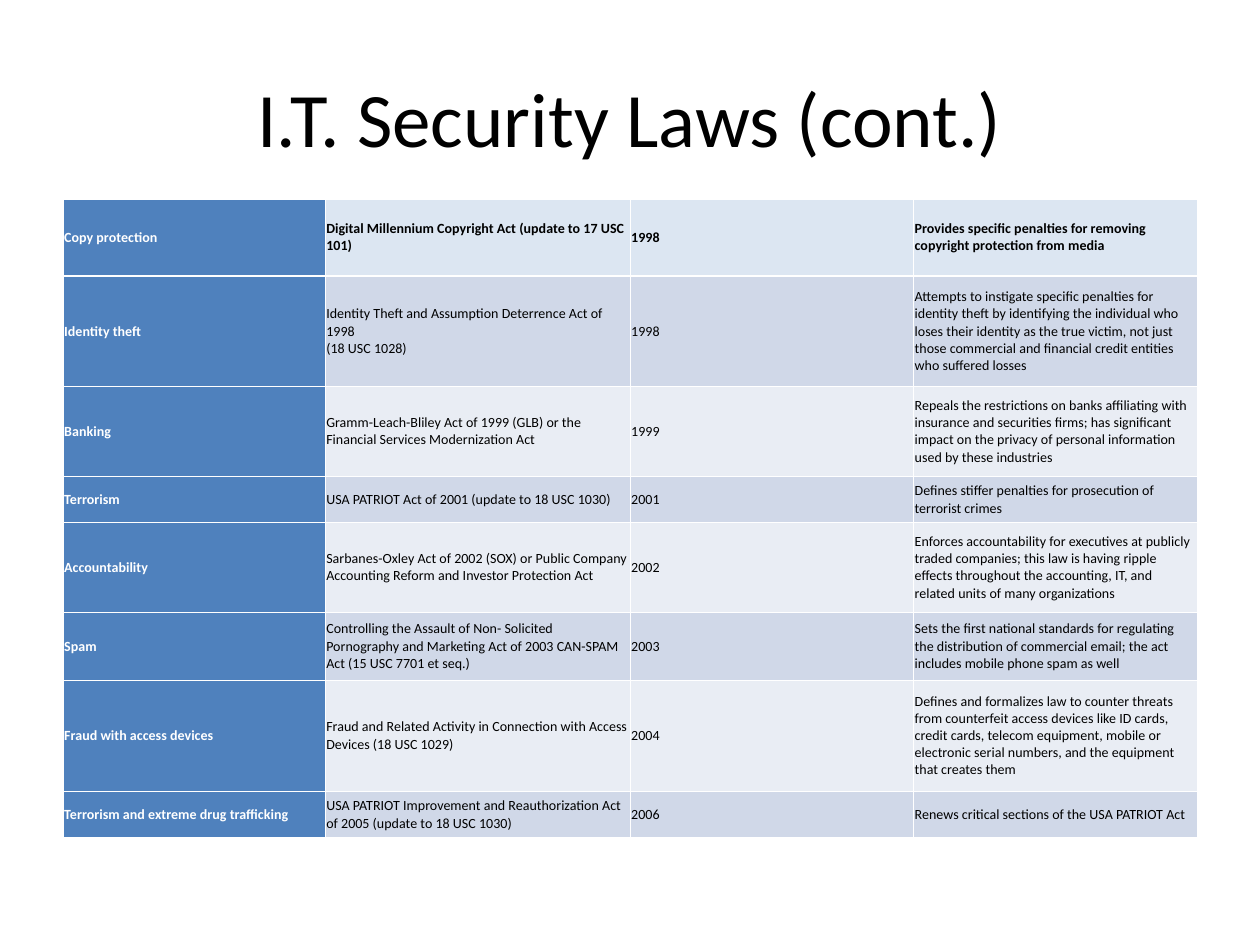
import pptx
import pptx.util
import pptx.dml.color
import pptx.enum.text
import pptx.oxml
import pptx.oxml.ns

Inches, Pt = pptx.util.Inches, pptx.util.Pt
MID = pptx.enum.text.MSO_ANCHOR.MIDDLE

# Content
TITLE = "I.T. Security Laws (cont.)"
LAWS = [
    ("Copy protection",
     "Digital Millennium Copyright Act (update to 17 USC 101)", "1998",
     "Provides specific penalties for removing copyright protection from media"),
    ("Identity theft",
     "Identity Theft and Assumption Deterrence Act of 1998\n(18 USC 1028)", "1998",
     "Attempts to instigate specific penalties for identity theft by identifying "
     "the individual who loses their identity as the true victim, not just those "
     "commercial and financial credit entities who suffered losses"),
    ("Banking",
     "Gramm-Leach-Bliley Act of 1999 (GLB) or the Financial Services "
     "Modernization Act", "1999",
     "Repeals the restrictions on banks affiliating with insurance and securities "
     "firms; has significant impact on the privacy of personal information used "
     "by these industries"),
    ("Terrorism",
     "USA PATRIOT Act of 2001 (update to 18 USC 1030)", "2001",
     "Defines stiffer penalties for prosecution of terrorist crimes"),
    ("Accountability",
     "Sarbanes-Oxley Act of 2002 (SOX) or Public Company Accounting Reform and "
     "Investor Protection Act", "2002",
     "Enforces accountability for executives at publicly traded companies; this "
     "law is having ripple effects throughout the accounting, IT, and related "
     "units of many organizations"),
    ("Spam",
     "Controlling the Assault of Non- Solicited Pornography and Marketing Act of "
     "2003 CAN-SPAM Act (15 USC 7701 et seq.)", "2003",
     "Sets the first national standards for regulating the distribution of "
     "commercial email; the act includes mobile phone spam as well"),
    ("Fraud with access devices",
     "Fraud and Related Activity in Connection with Access Devices (18 USC 1029)",
     "2004",
     "Defines and formalizes law to counter threats from counterfeit access "
     "devices like ID cards, credit cards, telecom equipment, mobile or electronic "
     "serial numbers, and the equipment that creates them"),
    ("Terrorism and extreme drug trafficking",
     "USA PATRIOT Improvement and Reauthorization Act of 2005 (update to 18 USC "
     "1030)", "2006",
     "Renews critical sections of the USA PATRIOT Act"),
]
WIDTHS = [2.08, 2.42, 2.25, 2.25]
HEIGHTS = [0.61, 0.88, 0.71, 0.37, 0.71, 0.54, 0.88, 0.37]
COLORS = {"text": "000000", "white": "FFFFFF", "side": "4F81BD",
          "top": "DCE6F2", "odd": "D0D8E8", "even": "E9EDF4"}
THIN, THICK = 0.45, 1.47


def rgb(name):
    return pptx.dml.color.RGBColor.from_string(COLORS[name])


def write(para, text, size, color, bold=False):
    for i, line in enumerate(text.split("\n")):
        if i:
            para.add_line_break()
        run = para.add_run()
        run.text = line
        run.font.name = "Calibri"
        run.font.size = Pt(size)
        run.font.bold = bold
        run.font.color.rgb = rgb(color)


def border(cell, side, width):
    cell._tc.get_or_add_tcPr().append(pptx.oxml.parse_xml(
        f'<a:ln{side} {pptx.oxml.ns.nsdecls("a")} w="{Pt(width)}"><a:solidFill>'
        f'<a:srgbClr val="{COLORS["white"]}"/></a:solidFill></a:ln{side}>'))


prs = pptx.Presentation()
prs.slide_width, prs.slide_height = Inches(10), Inches(7.5)
slide = prs.slides.add_slide(prs.slide_layouts[6])

# Title
box = slide.shapes.add_textbox(Inches(0.5), Inches(0.3), Inches(9), Inches(1.25))
frame = box.text_frame
frame.word_wrap = True
frame.vertical_anchor = MID
frame.paragraphs[0].alignment = pptx.enum.text.PP_ALIGN.CENTER
write(frame.paragraphs[0], TITLE, 44, "text")

# Table grid
table = slide.shapes.add_table(
    len(LAWS), len(WIDTHS), Inches(0.5), Inches(1.58),
    Inches(sum(WIDTHS)), Inches(sum(HEIGHTS))).table
for col, width in zip(table.columns, WIDTHS):
    col.width = Inches(width)
for row, height in zip(table.rows, HEIGHTS):
    row.height = Inches(height)

# Cells: blue first column, pale top row, then alternating bands
for r, law in enumerate(LAWS):
    band = "top" if r == 0 else "odd" if r % 2 else "even"
    edges = {"L": THIN, "R": THIN, "T": THICK if r == 1 else THIN,
             "B": THICK if r == 0 else THIN}
    for c, text in enumerate(law):
        cell = table.cell(r, c)
        cell.vertical_anchor = MID
        cell.margin_left = cell.margin_right = Inches(0.01)
        cell.margin_top = cell.margin_bottom = Inches(0.05)
        for side, width in edges.items():
            border(cell, side, width)
        cell.fill.solid()
        cell.fill.fore_color.rgb = rgb(band if c else "side")
        write(cell.text_frame.paragraphs[0], text, 8,
              "text" if c else "white", bold=r == 0 or c == 0)

prs.save("out.pptx")
